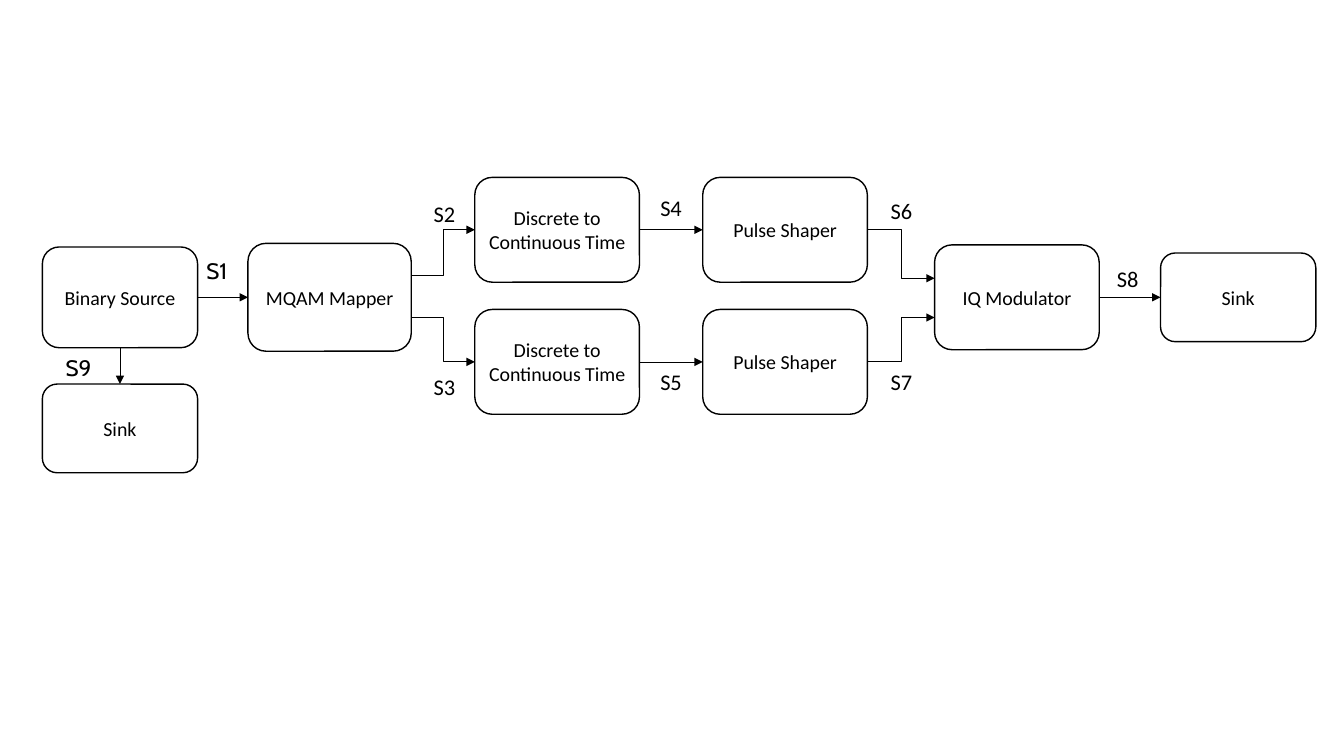
"""Build a block diagram slide of an MQAM transmitter."""
from dataclasses import dataclass

from lxml.etree import SubElement
from pptx import Presentation
from pptx.dml.color import RGBColor
from pptx.enum.shapes import MSO_CONNECTOR, MSO_SHAPE
from pptx.enum.text import MSO_ANCHOR, PP_ALIGN
from pptx.oxml.ns import qn
from pptx.util import Inches, Pt


@dataclass(frozen=True)
class Theme:
    ink: RGBColor = RGBColor(0, 0, 0)
    paper: RGBColor = RGBColor(255, 255, 255)
    font: str = "Calibri"
    accent_font: str = "Cabin"
    block_size: float = 14.2
    label_size: float = 16
    outline: float = 1
    arrow: float = 0.5


class Diagram:
    TOP, LEFT, BOTTOM, RIGHT = range(4)

    def __init__(self, deck, theme):
        self.deck = deck
        self.theme = theme
        self.slide = deck.slides.add_slide(deck.slide_layouts[6])

    def across(self, percent):
        return round(self.deck.slide_width * percent / 100)

    def down(self, percent):
        return round(self.deck.slide_height * percent / 100)

    def frame(self, center, middle, width, height):
        return (self.across(center - width / 2), self.down(middle - height / 2),
                self.across(width), self.down(height))

    def set_text(self, box, text, size, font):
        box.text_frame.text = text
        para = box.text_frame.paragraphs[0]
        para.alignment = PP_ALIGN.CENTER
        for span in para.runs:
            span.font.size = Pt(size)
            span.font.name = font
            span.font.color.rgb = self.theme.ink

    def block(self, text, left, middle, width=12.25, height=13.87):
        box = self.slide.shapes.add_shape(
            MSO_SHAPE.ROUNDED_RECTANGLE,
            *self.frame(left + width / 2, middle, width, height))
        box.shadow.inherit = False
        box.fill.solid()
        box.fill.fore_color.rgb = self.theme.paper
        box.line.color.rgb = self.theme.ink
        box.line.width = Pt(self.theme.outline)
        words = box.text_frame
        words.word_wrap = True
        words.vertical_anchor = MSO_ANCHOR.MIDDLE
        words.margin_left = words.margin_right = Inches(0.08)
        words.margin_top = words.margin_bottom = Inches(0.04)
        self.set_text(box, text, self.theme.block_size, self.theme.font)
        return box

    def label(self, text, center, middle, font=None):
        box = self.slide.shapes.add_textbox(*self.frame(center, middle, 4.5, 4.93))
        box.text_frame.word_wrap = True
        self.set_text(box, text, self.theme.label_size, font or self.theme.font)

    def arrow(self, kind, start=(0, 0), end=(0, 0)):
        line = self.slide.shapes.add_connector(kind, *start, *end)
        line.line.color.rgb = self.theme.ink
        line.line.width = Pt(self.theme.arrow)
        properties = line.element.spPr
        SubElement(properties.find(qn("a:ln")), qn("a:tailEnd"), type="triangle")
        SubElement(properties, qn("a:effectLst"))
        return line

    def straight(self, source, target, source_side=RIGHT, target_side=LEFT):
        line = self.arrow(MSO_CONNECTOR.STRAIGHT)
        line.begin_connect(source, source_side)
        line.end_connect(target, target_side)

    def elbow(self, source, target, source_row, target_row):
        self.arrow(MSO_CONNECTOR.ELBOW,
                   (source.left + source.width, self.down(source_row)),
                   (target.left, self.down(target_row)))


def main():
    deck = Presentation()
    deck.slide_width, deck.slide_height = Inches(13.33), Inches(7.5)
    theme = Theme()
    diagram = Diagram(deck, theme)

    main_row, sink_row = 39.33, 56.67
    branch_rows = upper, lower = 30.4, 47.87
    source_column, mapper_column, converter_column = 3.15, 18.45, 35.33
    shaper_column, modulator_column, sink_column = 52.29, 69.54, 86.35
    sink_size = 11.55, 11.73

    source = diagram.block("Binary Source", source_column, main_row, 11.55, 13.33)
    source_sink = diagram.block("Sink", source_column, sink_row, *sink_size)
    mapper = diagram.block("MQAM Mapper", mapper_column, main_row, 12.15, 14.27)
    modulator = diagram.block("IQ Modulator", modulator_column, main_row)
    sink = diagram.block("Sink", sink_column, main_row, *sink_size)

    mapper_ports = 36.4, 42
    modulator_ports = 36.8, 42
    for row, outlet, inlet in zip(branch_rows, mapper_ports, modulator_ports):
        converter = diagram.block("Discrete to Continuous Time", converter_column, row)
        shaper = diagram.block("Pulse Shaper", shaper_column, row)
        diagram.elbow(mapper, converter, outlet, row)
        diagram.straight(converter, shaper)
        diagram.elbow(shaper, modulator, row, inlet)

    diagram.straight(source, mapper)
    diagram.straight(modulator, sink)
    diagram.straight(source, source_sink, Diagram.BOTTOM, Diagram.TOP)

    for signal, center, middle in (
            ("S2", 33.08, upper - 2.07), ("S3", 33.08, lower + 3.26),
            ("S4", 49.93, upper - 2.87), ("S5", 49.93, lower + 2.6),
            ("S6", 67.07, upper - 2.47), ("S7", 67.07, lower + 2.6),
            ("S8", 83.91, main_row - 2.46)):
        diagram.label(signal, center, middle)
    diagram.label("S1", 16.13, main_row - 3.53, theme.accent_font)
    diagram.label("S9", 5.85, 48.6, theme.accent_font)

    deck.save("out.pptx")


if __name__ == "__main__":
    main()
